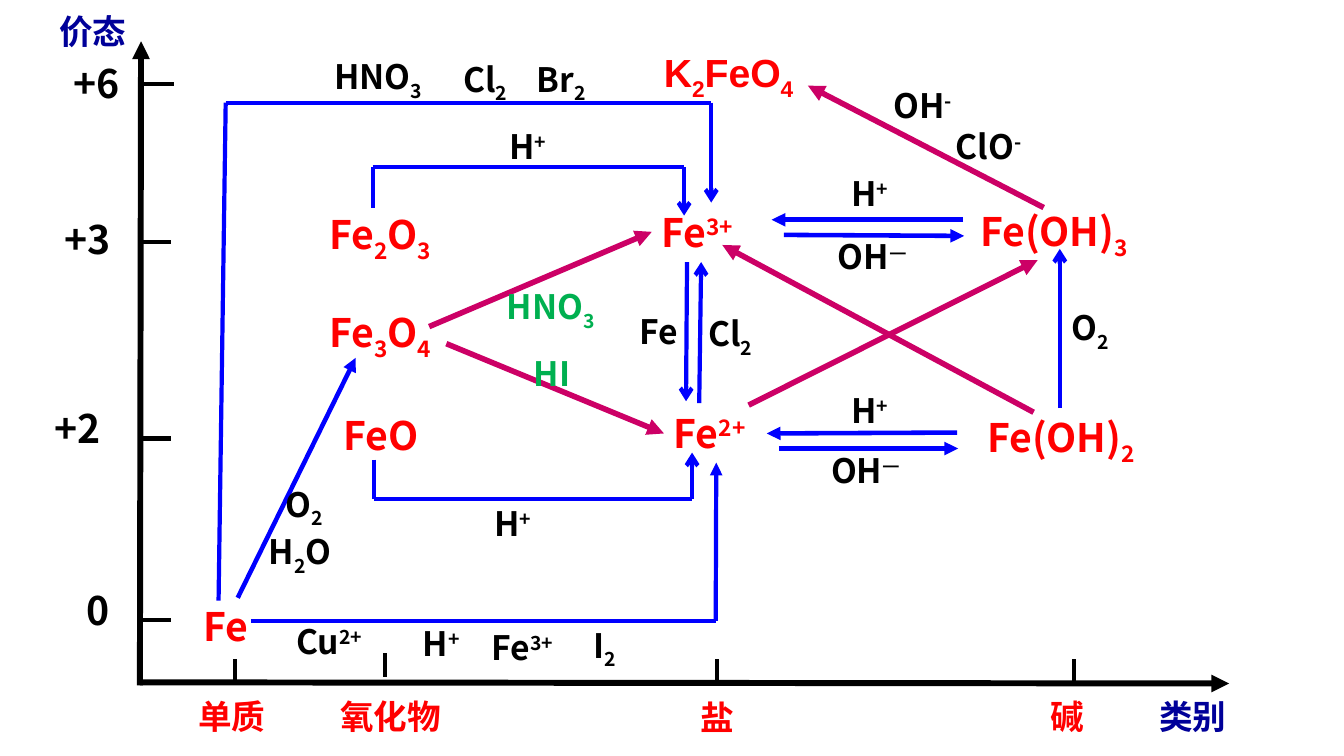
from itertools import pairwise
from lxml.etree import SubElement
from pptx import Presentation
from pptx.dml.color import RGBColor
from pptx.enum.shapes import MSO_CONNECTOR as Link
from pptx.oxml.ns import qn
from pptx.util import Pt

BLACK = RGBColor(0, 0, 0)
RED = RGBColor(0xFF, 0, 0)
NAVY = RGBColor(0, 0, 0x99)
BLUE = RGBColor(0, 0, 0xFF)
PINK = RGBColor(0xCC, 0, 0x66)
GREEN = RGBColor(0, 0xB0, 0x50)
CJK, LATIN = "Noto Sans CJK SC", "Arial"

# Tick marks: (left, y) on the valence axis, (x, top) on the class axis
Y_TICKS = [(100, 442.8), (100, 313.2), (100, 172.8), (102.2, 59.8)]
X_TICKS = [(167.8, 470.9), (275, 466.6), (512.6, 470.9), (767.5, 470.9)]
Y_LEN, X_LEN = 22.3, 16.8

# Paths: colour, width, arrowhead, points
AXES = [
    (BLACK, 4.25, "triangle", [(100, 489.6), (100.8, 29.5)]),
    (BLACK, 4.25, "triangle", [(100, 487.4), (878.4, 488.2)]),
]
PATHS = [
    (BLUE, 3.25, "triangle", [(169.9, 427), (254.2, 255.6)]),
    (BLUE, 3, "triangle", [(179.3, 443.5), (511.5, 443.5), (511.9, 330.5)]),
    (BLUE, 3, "arrow", [(499.7, 288), (501.1, 187.2)]),
    (BLUE, 3, "arrow", [(491, 187.2), (490.3, 286.6)]),
    (BLUE, 3.25, "triangle", [(556.6, 320.4), (684.7, 320.4)]),
    (BLUE, 3.25, "triangle", [(684, 309), (548, 309.6)]),
    (BLUE, 3.25, "triangle", [(560.2, 167.8), (689, 168.5)]),
    (BLUE, 3.25, "triangle", [(688.3, 157), (551.5, 157)]),
    (BLUE, 3, "arrow", [(757.4, 291.6), (757.4, 177.8)]),
    (PINK, 4, "triangle", [(738.7, 294.5), (516.2, 175)]),
    (PINK, 4, "triangle", [(535, 289.4), (741.6, 185.8)]),
    (PINK, 4, "triangle", [(745.9, 148.3), (577.4, 61.2)]),
    (BLUE, 3, "arrow",
     [(266.4, 148.3), (266.4, 119.5), (488.9, 119.5), (488.9, 154)]),
    (BLUE, 3, "arrow",
     [(267.1, 328.3), (267.1, 356.4), (494.6, 356.4), (494.6, 323.3)]),
    (PINK, 4, "triangle", [(306.7, 233.3), (465.8, 165.6)]),
    (PINK, 4, "triangle", [(319, 245.5), (474.5, 309.6)]),
    (BLUE, 3, "arrow",
     [(156.2, 429.1), (161.3, 73.4), (508.3, 73.4), (508.3, 144.7)]),
]

# Labels by (size, colour, font): text, left, top, width
# Pieces are parted by "|"; "_" opens a subscript, "^" a superscript
LABELS = {
    (28, BLACK, CJK): [
        ("0", 54.7, 415.4, 38), ("+2", 31.7, 285.1, 83),
        ("+3", 38.9, 150.5, 59), ("+6", 45.4, 38.9, 59),
    ],
    (24, RED, CJK): [
        ("单质", 134.6, 493.2, 80), ("氧化物", 236.2, 493.2, 174),
        ("盐", 493.2, 494.6, 48), ("碱", 743.8, 493.2, 53),
    ],
    (24, NAVY, CJK): [
        ("价态", 35.3, 4.3, 69), ("类别", 821.5, 493.2, 75),
    ],
    (28, RED, CJK): [
        ("Fe", 138.2, 427, 63), ("FeO", 238.3, 290.2, 99),
        ("Fe|_3|O|_4", 228.2, 216.7, 144),
        ("Fe|_2|O|_3", 228.2, 146.9, 144),
        ("Fe(OH)|_2", 698.4, 291.6, 156),
        ("Fe(OH)|_3", 693.4, 144.7, 138),
        ("Fe|^3+", 465.8, 145.4, 108), ("Fe|^2+", 474.5, 288.7, 81),
    ],
    (28, RED, LATIN): [("K|_2|FeO|_4", 467.3, 31, 115)],
    (24, BLACK, CJK): [
        ("O|_2", 197.3, 342, 68), ("H|_2|O", 185, 375.8, 98),
        ("Cu|^2+", 204.5, 439.9, 76), ("H|^+", 295.2, 441.4, 50),
        ("Fe|^3+", 344.2, 444.2, 76), ("I|_2", 416.9, 442.8, 50),
        ("Cl|_2", 499, 220.3, 58), ("Fe", 450, 218.2, 54),
        ("OH|^—", 591.8, 164.9, 84), ("OH|^—", 586.8, 317.5, 84),
        ("H|^+", 601.2, 120.2, 50), ("H|^+", 601.2, 275, 50),
        ("O|_2", 758.9, 216, 52), ("H|^+", 357.1, 86.4, 50),
        ("H|^+", 346.3, 355.7, 50), ("HNO|_3", 231.8, 36.7, 87),
        ("Cl|_2", 324, 38.2, 76), ("Br|_2", 376.6, 38.2, 55),
        ("OH|^-", 631.4, 56.9, 84), ("ClO|^-", 676.1, 86.4, 84),
    ],
    (24, GREEN, CJK): [
        ("HNO|_3", 355, 200.9, 87), ("HI", 374.4, 248.4, 46),
    ],
}
SHIFT = {"_": "-25000", "^": "30000"}


def draw(shapes, color, width, head, points):
    """Join the points with lines; the last one carries the arrowhead."""
    if len(points) > 2:
        shapes = shapes.add_group_shape().shapes
    for start, end in pairwise(points):
        line = shapes.add_connector(
            Link.STRAIGHT, *(Pt(n) for n in (*start, *end)))
        line.line.color.rgb = color
        line.line.width = Pt(width)
        if head and end == points[-1]:
            SubElement(line.line._ln, qn("a:tailEnd"), type=head)
        SubElement(line._element.spPr, qn("a:effectLst"))


def write(shapes, style, label):
    """Place a formula with its raised and lowered pieces."""
    size, color, face = style
    text, left, top, width = label
    height = size * 1.2 + (11.5 if "_" in text else 7.2)
    box = shapes.add_textbox(Pt(left), Pt(top), Pt(width), Pt(height))
    frame = box.text_frame
    frame.word_wrap = True
    for piece in text.split("|"):
        run = frame.paragraphs[0].add_run()
        run.text = piece.lstrip("_^")
        font = run.font
        font.size, font.bold, font.name = Pt(size), True, face
        font.color.rgb = color
        props = run._r.get_or_add_rPr()
        SubElement(props, qn("a:ea"), typeface=face)
        if piece[0] in SHIFT:
            props.set("baseline", SHIFT[piece[0]])


def main():
    deck = Presentation()
    deck.slide_width, deck.slide_height = Pt(960.48), Pt(540)
    shapes = deck.slides.add_slide(deck.slide_layouts[6]).shapes
    for path in AXES:
        draw(shapes, *path)
    for x, y in Y_TICKS:
        draw(shapes, BLACK, 3, None, [(x, y), (x + Y_LEN, y)])
    for x, y in X_TICKS:
        draw(shapes, BLACK, 3, None, [(x, y), (x, y + X_LEN)])
    for path in PATHS:
        draw(shapes, *path)
    for style, labels in LABELS.items():
        for label in labels:
            write(shapes, style, label)
    deck.save("out.pptx")


if __name__ == "__main__":
    main()
